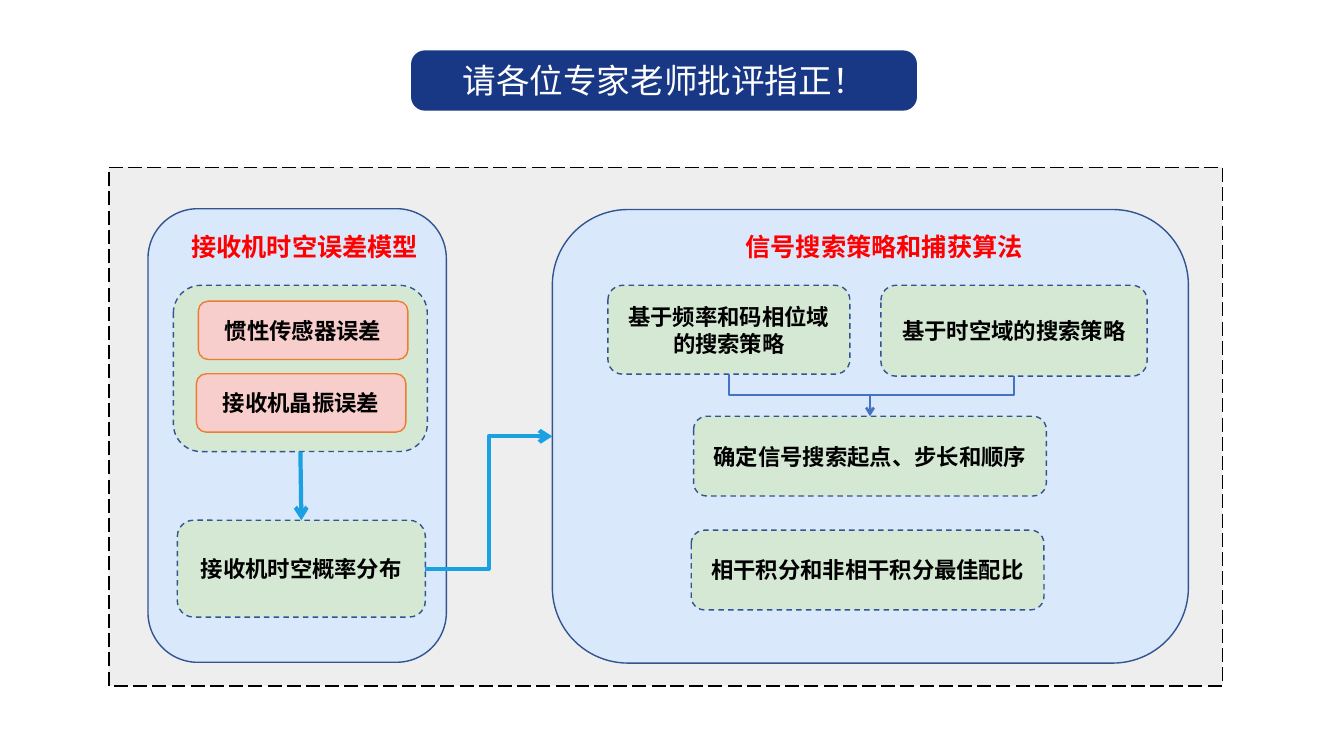
from pptx import Presentation
from pptx.dml.color import RGBColor
from pptx.enum.dml import MSO_LINE_DASH_STYLE as Dash
from pptx.enum.shapes import MSO_CONNECTOR as Connector, MSO_SHAPE as Shape
from pptx.enum.text import MSO_ANCHOR as Anchor, PP_ALIGN as Align
from pptx.oxml.ns import qn
from pptx.util import Cm, Pt
from lxml.etree import SubElement

FONT = "Noto Sans CJK SC"
NAVY, GREEN, PINK, PANEL = "325491", "D5E8D4", "F8CECC", "DAE8FC"
rgb = RGBColor.from_string

presentation = Presentation()
presentation.slide_width, presentation.slide_height = Cm(33.87), Cm(19.05)
slide = presentation.slides.add_slide(presentation.slide_layouts[6])
shapes = slide.shapes


def write(shape, text, size, color, bold=True, align=Align.CENTER):
    frame = shape.text_frame
    frame.word_wrap = True
    frame.vertical_anchor = Anchor.MIDDLE
    paragraph = frame.paragraphs[0]
    paragraph.text = text
    paragraph.alignment = align
    font = paragraph.font
    font.size, font.bold, font.name = Pt(size), bold, FONT
    font.color.rgb = rgb(color)
    SubElement(font._element, qn("a:ea")).set("typeface", FONT)


def add_box(kind, place, fill, line=None, dash=None, text=None):
    shape = shapes.add_shape(kind, *map(Cm, place))
    shape.shadow.inherit = False
    shape.fill.solid()
    shape.fill.fore_color.rgb = rgb(fill)
    if line:
        shape.line.color.rgb = rgb(line)
        shape.line.width = Pt(1)
        shape.line.dash_style = dash
    else:
        shape.line.fill.background()
    if text:
        write(shape, text, 16, "000000")
    return shape


# Title and dashed frame
title = add_box(Shape.ROUNDED_RECTANGLE, (10.36, 1.27, 12.75, 1.52), "183885")
title.adjustments[0] = 0.23
write(title, "请各位专家老师批评指正！", 24, "FFFFFF", bold=False)
frame_box = add_box(Shape.RECTANGLE, (2.74, 4.22, 28.07, 13.06), "EEEEEE", "000000", Dash.LONG_DASH)
frame_box.line.width = Pt(1.25)

# Panels with their headings
model_panel, search_panel = [
    add_box(Shape.FLOWCHART_ALTERNATE_PROCESS, place, PANEL, NAVY)
    for place in [(3.73, 5.26, 7.52, 11.43), (13.92, 5.28, 16.03, 11.43)]
]
for left, width, heading in [
    (4.57, 7.14, "接收机时空误差模型"),
    (18.54, 8.05, "信号搜索策略和捕获算法"),
]:
    box = shapes.add_textbox(Cm(left), Cm(5.69), Cm(width), Cm(1.02))
    write(box, heading, 18, "FF0000", align=Align.LEFT)

# Green dashed steps
errors, distribution, frequency, space_time, start, ratio = [
    add_box(Shape.ROUNDED_RECTANGLE, place, GREEN, NAVY, Dash.DASH, text)
    for place, text in [
        ((4.37, 7.19, 6.4, 4.19), None),
        ((4.47, 13.11, 6.25, 2.44), "接收机时空概率分布"),
        ((15.32, 7.19, 6.1, 2.24), "基于频率和码相位域的搜索策略"),
        ((22.2, 7.19, 6.71, 2.29), "基于时空域的搜索策略"),
        ((17.48, 10.49, 8.89, 2.01), "确定信号搜索起点、步长和顺序"),
        ((17.42, 13.36, 8.89, 2.01), "相干积分和非相干积分最佳配比"),
    ]
]
for left, top, text in [(5, 7.59, "惯性传感器误差"), (4.95, 9.42, "接收机晶振误差")]:
    add_box(Shape.ROUNDED_RECTANGLE, (left, top, 5.28, 1.47), PINK, "ED7D31", text=text)

# Arrows joined to the boxes
down_arrow = shapes.add_connector(Connector.STRAIGHT, 0, 0, 0, 0)
down_arrow.begin_connect(errors, 2)
down_arrow.end_connect(distribution, 0)
panel_arrow = shapes.add_connector(Connector.ELBOW, 0, 0, 0, 0)
panel_arrow.begin_connect(distribution, 3)
panel_arrow.end_connect(search_panel, 1)

# Both strategies lead down into the start step: elbows turned by 90 degrees
merge_x = start.left + start.width // 2
merge_lines = []
for source, end_y, preset in [
    (frequency, start.top, "bentConnector3"),
    (space_time, Cm(9.95), "bentConnector2"),
]:
    begin_x, begin_y = source.left + source.width // 2, source.top + source.height
    center_x, center_y = (begin_x + merge_x) // 2, (begin_y + end_y) // 2
    half_x, half_y = (merge_x - begin_x) // 2, (end_y - begin_y) // 2
    line = shapes.add_connector(
        Connector.ELBOW,
        center_x - half_y, center_y + half_x, center_x + half_y, center_y - half_x,
    )
    properties = line._element.spPr
    properties.find(qn("a:xfrm")).set("rot", "5400000")
    properties.find(qn("a:prstGeom")).set("prst", preset)
    merge_lines.append(line)

for line, color, width, arrow in [
    (down_arrow, "1BA1E2", 3, True),
    (panel_arrow, "1BA1E2", 3, True),
    (merge_lines[0], "4472C4", 1.75, True),
    (merge_lines[1], "4472C4", 1.75, False),
]:
    line.line.color.rgb = rgb(color)
    line.line.width = Pt(width)
    if arrow:
        SubElement(line.line._get_or_add_ln(), qn("a:tailEnd")).set("type", "arrow")
    SubElement(line._element.spPr, qn("a:effectLst"))

presentation.save("out.pptx")
